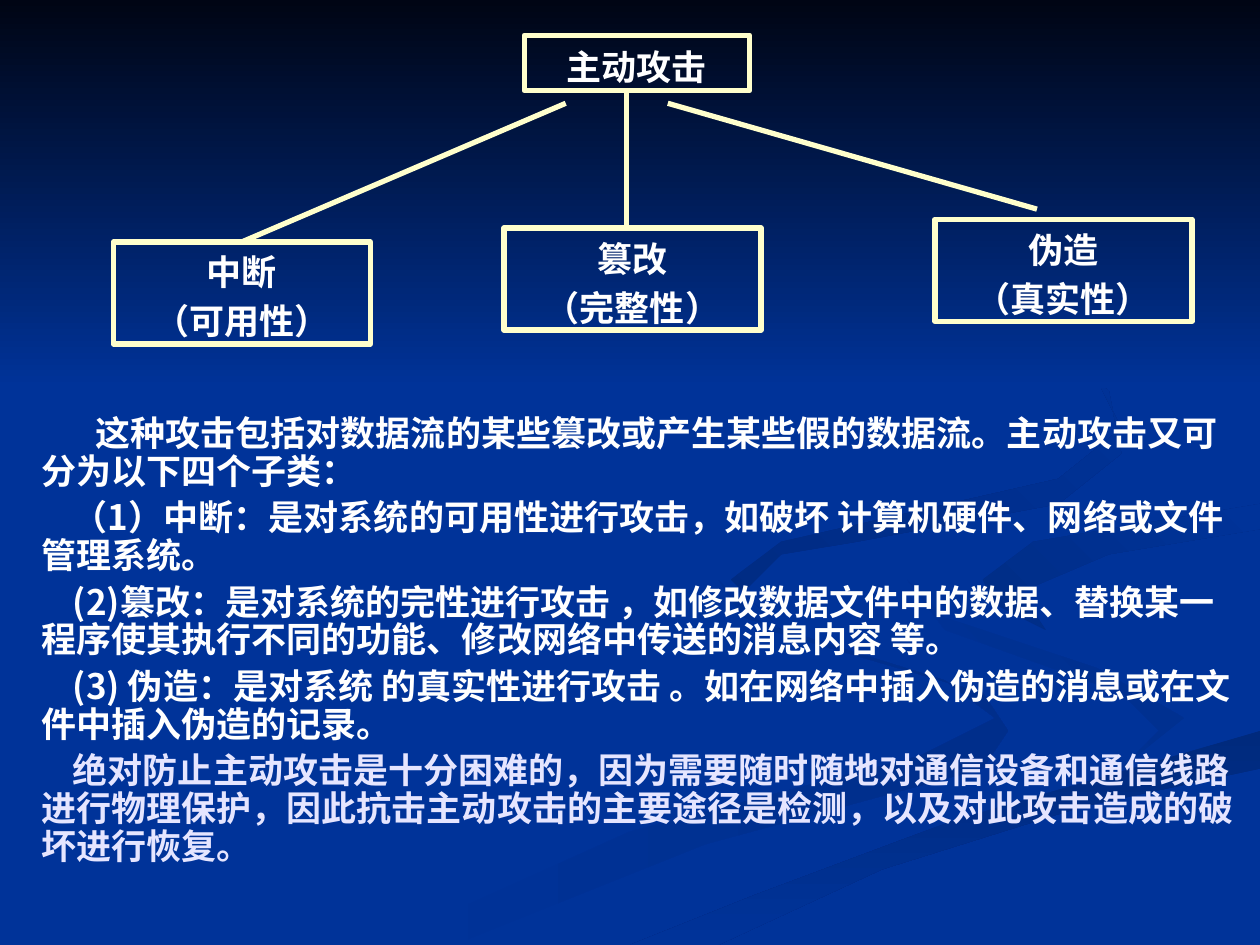
from lxml import etree
from pptx import Presentation
from pptx.dml.color import RGBColor
from pptx.enum.shapes import MSO_CONNECTOR, MSO_SHAPE
from pptx.enum.text import MSO_ANCHOR, PP_ALIGN
from pptx.oxml.ns import qn
from pptx.util import Inches, Pt

RECT, LINE = MSO_SHAPE.RECTANGLE, MSO_CONNECTOR.STRAIGHT
MIDDLE, CENTER = MSO_ANCHOR.MIDDLE, PP_ALIGN.CENTER
BLUE, CREAM, WHITE, PALE = "003399", "FFFFCC", "FFFFFF", "E5E5FF"
CJK = "Noto Sans CJK JP"
rgb = RGBColor.from_string

deck = Presentation()
deck.slide_width, deck.slide_height = Inches(10), Inches(7.5)
U = deck.slide_width // 100  # grid of 100 columns by 75 rows
slide = deck.slides.add_slide(deck.slide_layouts[6])
slide.background.fill.solid()
slide.background.fill.fore_color.rgb = rgb(BLUE)
shapes = slide.shapes


def blend(shape, first, last, turn):
    shape.shadow.inherit = False
    shape.line.fill.background()
    shape.fill.gradient()
    shape.fill.gradient_angle = turn
    for stop, color in zip(shape.fill.gradient_stops, (first, last)):
        stop.color.rgb = rgb(color)


def style(para, face, color, pitch):
    para.line_spacing = Pt(pitch)
    font = para.font
    font.name, font.size, font.bold = face, Pt(20), True
    font.color.rgb = rgb(color)
    for run in para.runs:
        east = etree.SubElement(run._r.get_or_add_rPr(), qn("a:ea"))
        east.set("typeface", CJK)


# Background ribbons: colours, angle, outline in grid units
ribbons = [
    (BLUE, "002E8B", 0, [
        (78, 55), (61, 50), (57, 46), (59, 49), (75, 54), (79, 57), (73, 60),
        (50, 66), (30, 75), (36, 75), (56, 67), (78, 61), (80, 58)]),
    (BLUE, "002E8B", 45, [
        (94, 57), (87, 53), (75, 49), (72, 46), (75, 50), (89, 55), (92, 58),
        (89, 61)]),
    ("002A7D", BLUE, 270, [
        (50, 75), (57, 75), (70, 69), (86, 64), (100, 61), (100, 58),
        (76, 65), (60, 71)]),
    (BLUE, BLUE, 0, [
        (72, 46), (75, 49), (91, 54), (94, 57), (89, 61), (62, 68), (48, 75),
        (76, 65), (100, 58), (100, 54), (80, 48), (80, 44), (100, 40),
        (100, 39), (77, 43)]),
    ("002D86", BLUE, 45, [
        (78, 46), (79, 48), (83, 50), (81, 47), (88, 44), (100, 42),
        (100, 40), (82, 43)]),
    ("002B82", BLUE, 45, [
        (68, 43), (84, 40), (89, 36), (88, 31), (76, 23), (87, 30), (89, 34),
        (84, 38), (62, 43), (58, 46), (62, 50), (59, 47), (62, 44)]),
]
for first, last, turn, points in ribbons:
    path = shapes.build_freeform(*points[0], scale=U)
    path.add_line_segments(points[1:], close=True)
    blend(path.convert_to_shape(), first, last, turn)

# Dark band at the top
blend(shapes.add_shape(RECT, 0, 0, 100 * U, int(30.8 * U)), "000514", BLUE, 270)

# Boxes of the tree
boxes = []
for x, y, wide, high, words in [
        (41.6, 2.8, 17.9, 4.4, ["主动攻击"]),
        (9, 19.2, 20.4, 8.1, ["中断", "（可用性）"]),
        (40, 18.1, 20.4, 8.1, ["篡改", "（完整性）"]),
        (74.2, 17.4, 20.4, 8.1, ["伪造", "（真实性）"])]:
    box = shapes.add_shape(RECT, *[int(n * U) for n in (x, y, wide, high)])
    box.shadow.inherit = False
    box.fill.background()
    box.line.color.rgb, box.line.width = rgb(CREAM), Pt(3)
    frame = box.text_frame
    frame.margin_top = frame.margin_bottom = 0
    frame.vertical_anchor = MIDDLE
    frame.text = "\n".join(words)
    for para in frame.paragraphs:
        para.alignment = CENTER
        style(para, "Times New Roman", WHITE, 28)
    boxes.append(box)

# Branches
links = []
for ends in [(44.9, 8.2, 18.8, 18.9), (49.7, 7.4, 49.7, 18.1),
             (53, 8.2, 82.3, 16.6)]:
    link = shapes.add_connector(LINE, *[int(n * U) for n in ends])
    link.line.color.rgb, link.line.width = rgb(CREAM), Pt(3)
    etree.SubElement(link._element.spPr, qn("a:effectLst"))
    links.append(link)
links[0].end_connect(boxes[1], 0)

# Explanation
body = shapes.add_textbox(*[int(n * U) for n in (2.3, 32.5, 97.7, 42.5)])
frame = body.text_frame
frame.word_wrap = True
frame.text = "\n".join([
    "这种攻击包括对数据流的某些篡改或产生某些假的数据流。主动攻击又可分为以下四个子类：",
    "（1）中断：是对系统的可用性进行攻击，如破坏 计算机硬件、网络或文件管理系统。",
    "(2)篡改：是对系统的完性进行攻击 ，如修改数据文件中的数据、替换某一程序使其执行不同的功能、修改网络中传送的消息内容 等。",
    "(3) 伪造：是对系统 的真实性进行攻击 。如在网络中插入伪造的消息或在文件中插入伪造的记录。",
    "绝对防止主动攻击是十分困难的，因为需要随时随地对通信设备和通信线路进行物理保护，因此抗击主动攻击的主要途径是检测，以及对此攻击造成的破坏进行恢复。",
])
for i, para in enumerate(frame.paragraphs):
    props = para._p.get_or_add_pPr()
    props.set("marL", "0")
    props.set("indent", str(int((2.5 if i else 4.3) * U)))
    para.space_before = Pt(5 if i else 0)
    style(para, CJK, PALE if i == 4 else WHITE, 21.6)

deck.save("out.pptx")
